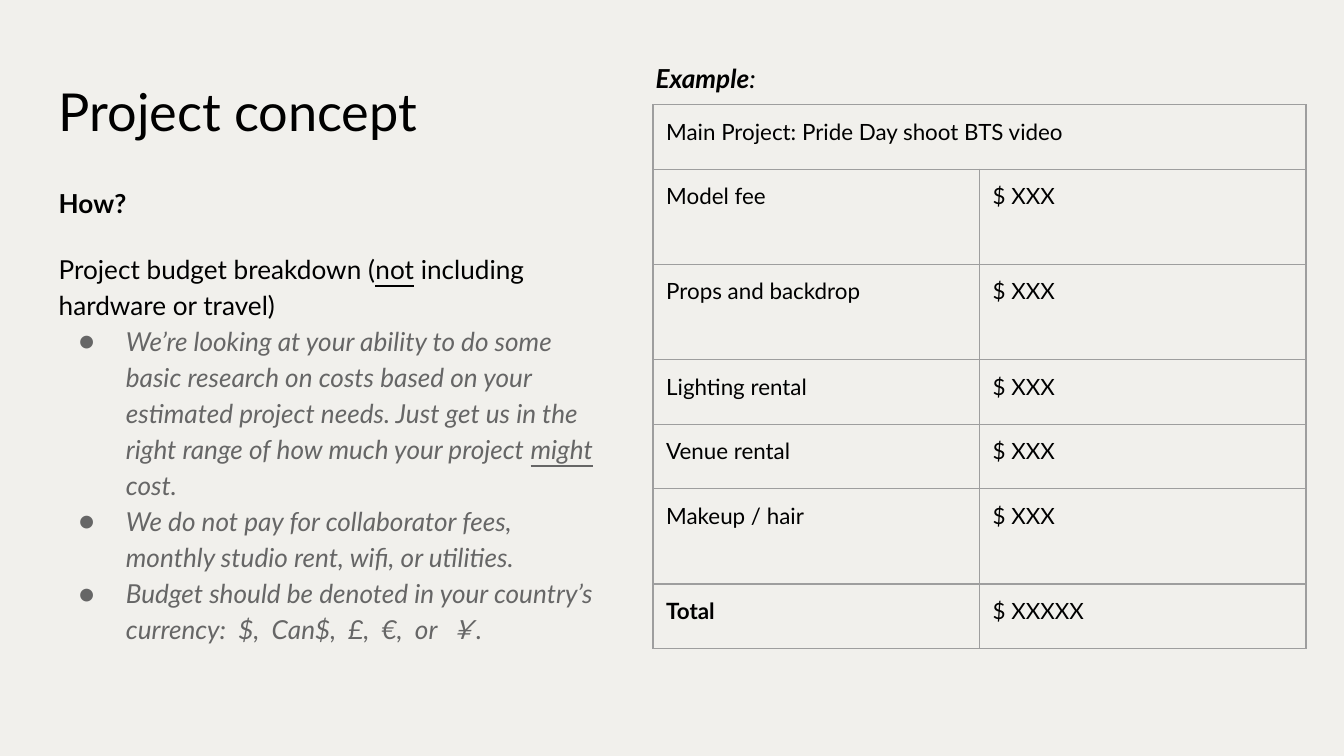
from lxml import etree
from pptx import Presentation
from pptx.dml.color import RGBColor
from pptx.enum.text import MSO_ANCHOR
from pptx.oxml.ns import qn
from pptx.util import Cm, Pt

TOP = MSO_ANCHOR.TOP
PAD = Cm(0.25)
COLORS = {"back": "F1F0EC", "ink": "000000", "gray": "666666", "rule": "9E9E9E"}
BOLD = {"bold": True}
SLANT = {"italic": True, "color": "gray"}
LINE = {"underline": True}
LABEL = {"bold": True, "italic": True}
INSETS = {f"margin_{side}": PAD for side in ("left", "right", "top", "bottom")}


def apply(target, values):
    for name, value in values.items():
        setattr(target, name, value)


def tint(parent, color):
    etree.SubElement(parent, qn("a:srgbClr"), val=COLORS[color])


class Deck:
    font = "Lato"

    def __init__(self, width, height):
        self.file = Presentation()
        apply(self.file, {"slide_width": Cm(width), "slide_height": Cm(height)})
        self.slide = self.file.slides.add_slide(self.file.slide_layouts[6])
        fill = self.slide.background.fill
        fill.solid()
        fill.fore_color.rgb = RGBColor.from_string(COLORS["back"])

    def fill_runs(self, para, runs, size):
        for text, style in runs:
            run = para.add_run()
            run.text = text
            look = {"name": self.font, "size": Pt(size), "color": "ink", **style}
            run.font.color.rgb = RGBColor.from_string(COLORS[look.pop("color")])
            apply(run.font, look)

    def bullet(self, para):
        props = para._p.get_or_add_pPr()
        props.set("marL", str(Cm(1.27)))
        props.set("indent", str(Cm(-0.89)))
        tint(etree.SubElement(props, qn("a:buClr")), "gray")
        etree.SubElement(props, qn("a:buFont"), typeface=self.font)
        etree.SubElement(props, qn("a:buChar"), char="●")

    def text(self, place, size, paras):
        frame = self.slide.shapes.add_textbox(*map(Cm, place)).text_frame
        apply(frame, {"word_wrap": True, "vertical_anchor": TOP, **INSETS})
        for index, (runs, form, dot) in enumerate(paras):
            para = frame.add_paragraph() if index else frame.paragraphs[0]
            if dot:
                self.bullet(para)
            apply(para, form)
            self.fill_runs(para, runs, size)

    def border(self, cell):
        props = cell._tc.get_or_add_tcPr()
        for index, side in enumerate("LRTB"):
            line = etree.Element(qn(f"a:ln{side}"), w=str(Pt(0.75)))
            tint(etree.SubElement(line, qn("a:solidFill")), "rule")
            props.insert(index, line)

    def table(self, left, top, widths, heights, rows, size):
        place = (left, top, sum(widths), sum(heights))
        grid = self.slide.shapes.add_table(len(rows), len(widths), *map(Cm, place)).table
        apply(grid, {"first_row": False, "horz_banding": False})
        for col, width in zip(grid.columns, widths):
            col.width = Cm(width)
        for row, height, texts in zip(grid.rows, heights, rows):
            row.height = Cm(height)
            cells = list(row.cells)
            for cell in cells:
                cell.fill.background()
                self.border(cell)
                apply(cell, {"vertical_anchor": TOP, **INSETS})
            if len(texts) == 1:
                cells[0].merge(cells[-1])
            for cell, text in zip(cells, texts):
                style = BOLD if text == "Total" else {}
                self.fill_runs(cell.text_frame.paragraphs[0], [(text, style)], size)


def main():
    loose = {"line_spacing": 1.15}
    points = [
        [
            ("We’re looking at your ability to do some basic research on costs based on your "
             "estimated project needs. Just get us in the right range of how much your project ", SLANT),
            ("might", {**SLANT, **LINE}),
            (" cost.", SLANT),
        ],
        [("We do not pay for collaborator fees, monthly studio rent, wifi, or utilities.", SLANT)],
        [("Budget should be denoted in your country’s currency:  $,  Can$,  £,  €,  or  ￥.", SLANT)],
    ]
    intro = [("Project budget breakdown (", {}), ("not", LINE), (" including hardware or travel)", {})]
    costs = ["Model fee", "Props and backdrop", "Lighting rental", "Venue rental", "Makeup / hair"]
    rows = [
        ["Main Project: Pride Day shoot BTS video"],
        *([cost, "$ XXX"] for cost in costs),
        ["Total", "$ XXXXX"],
    ]
    short, tall = 1.22, 1.8

    deck = Deck(25.4, 14.29)
    deck.text((0.86, 1.24, 23.67, 1.6), 28, [([("Project concept", {})], {}, False)])
    deck.text((0.86, 3.2, 10.72, 10.46), 14, [
        ([("How?", BOLD)], loose, False),
        (intro, {**loose, "space_before": Pt(16)}, False),
        *((runs, loose, True) for runs in points),
    ])
    deck.table(12.34, 1.98, [6.17] * 2, [short, tall, tall, short, short, tall, short], rows, 12)
    label = [("Example", LABEL), (":", {"italic": True})]
    deck.text((12.14, 0.84, 9.42, 1.14), 14, [(label, loose, False)])
    deck.file.save("out.pptx")


if __name__ == "__main__":
    main()
